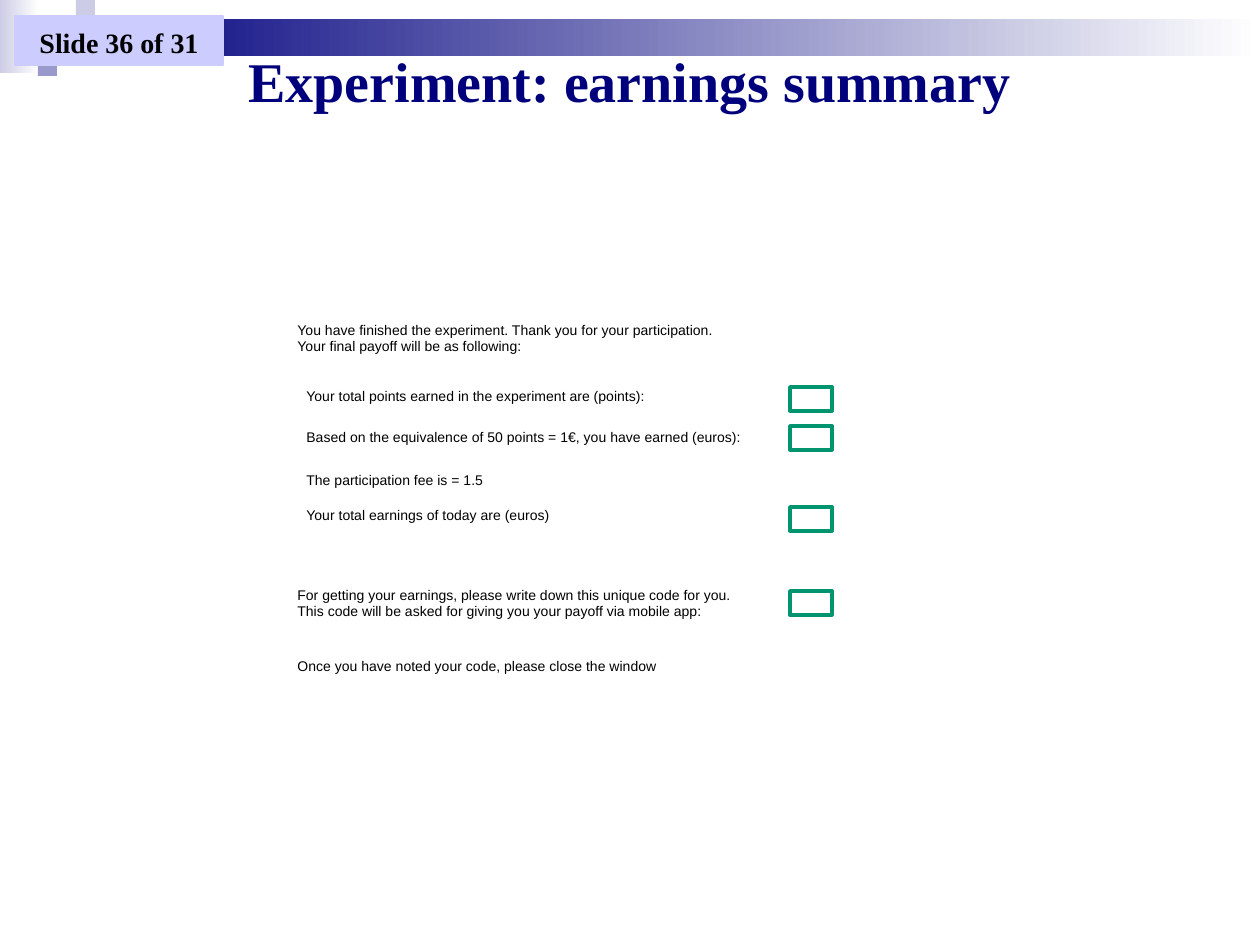
from dataclasses import dataclass

from pptx import Presentation
from pptx.dml.color import RGBColor
from pptx.enum.shapes import MSO_SHAPE
from pptx.enum.text import MSO_ANCHOR, MSO_AUTO_SIZE, PP_ALIGN
from pptx.util import Emu, Pt

RECTANGLE = MSO_SHAPE.RECTANGLE
CENTER, LEFT = PP_ALIGN.CENTER, PP_ALIGN.LEFT
TOP, MIDDLE, BOTTOM = MSO_ANCHOR.TOP, MSO_ANCHOR.MIDDLE, MSO_ANCHOR.BOTTOM
TITLE_ONLY = 5
PX = 914400 // 126


@dataclass(frozen=True)
class Theme:
    navy: str = "00007D"
    lavender: str = "CCCCE6"
    violet: str = "9999CC"
    panel: str = "CCCCFF"
    green: str = "00946F"
    white: str = "FFFFFF"
    black: str = "000000"
    heading_font: str = "Times New Roman"
    body_font: str = "Arial"
    title_size: int = 32
    counter_size: int = 16
    body_size: int = 8


THEME = Theme()

TITLE = "Experiment: earnings summary"
COUNTER = "Slide 36 of 31"

# left, top, width, height, fill (a pair is a gradient from left to right)
DECORATION = [
    (0, 0, 39, 73, (THEME.lavender, THEME.white)),
    (57, 19, 1203, 37, (THEME.navy, THEME.white)),
    (76, 0, 19, 19, THEME.lavender),
    (38, 57, 19, 19, THEME.violet),
]

# top, height, indent, paragraphs
MESSAGES = [
    (315, 47, 0, ["You have finished the experiment. Thank you for your participation.",
                  "Your final payoff will be as following:"]),
    (381, 30, 9, ["Your total points earned in the experiment are (points):"]),
    (422, 30, 9, ["Based on the equivalence of 50 points = 1€, you have earned (euros):"]),
    (465, 30, 9, ["The participation fee is = 1.5"]),
    (500, 30, 9, ["Your total earnings of today are (euros)"]),
    (580, 47, 0, ["For getting your earnings, please write down this unique code for you. \n"
                  "This code will be asked for giving you your payoff via mobile app:"]),
    (651, 30, 0, ["Once you have noted your code, please close the window"]),
]
MESSAGE_LEFT, MESSAGE_WIDTH = 285, 525

ANSWER_TOPS = [387, 426, 507, 591]
ANSWER_LEFT, ANSWER_WIDTH, ANSWER_HEIGHT = 790, 42, 24


def px(*lengths):
    return [Emu(length * PX) for length in lengths]


def rgb(value):
    return RGBColor.from_string(value)


def add_box(slide, bounds, fill, line=None, line_width=1):
    box = slide.shapes.add_shape(RECTANGLE, *px(*bounds))
    box.shadow.inherit = False
    if isinstance(fill, tuple):
        box.fill.gradient()
        box.fill.gradient_angle = 0
        for stop, color in zip(box.fill.gradient_stops, fill):
            stop.color.rgb = rgb(color)
    else:
        box.fill.solid()
        box.fill.fore_color.rgb = rgb(fill)
    if line:
        box.line.color.rgb = rgb(line)
        box.line.width = Pt(line_width)
    else:
        box.line.fill.background()
    return box


def write(shape, paragraphs, *, size, font, color=THEME.black, bold=False,
          align=LEFT, anchor=TOP, indent=0):
    frame = shape.text_frame
    frame.word_wrap = True
    frame.auto_size = MSO_AUTO_SIZE.NONE
    frame.vertical_anchor = anchor
    for index, text in enumerate(paragraphs):
        paragraph = frame.add_paragraph() if index else frame.paragraphs[0]
        paragraph.text = text
        paragraph.alignment = align
        if indent:
            paragraph._p.get_or_add_pPr().set("marL", str(indent * PX))
        for run in paragraph.runs:
            run.font.name = font
            run.font.size = Pt(size)
            run.font.bold = bold
            run.font.color.rgb = rgb(color)


def main():
    deck = Presentation()
    deck.slide_width, deck.slide_height = px(1260, 945)
    slide = deck.slides.add_slide(deck.slide_layouts[TITLE_ONLY])

    for *bounds, fill in DECORATION:
        add_box(slide, bounds, fill)

    counter = add_box(slide, (15, 16, 208, 49), THEME.panel, THEME.panel, 0.75)
    write(counter, [COUNTER], size=THEME.counter_size, font=THEME.heading_font,
          bold=True, align=CENTER, anchor=BOTTOM)

    title = slide.shapes.title
    title.left, title.top, title.width, title.height = px(63, 47, 1134, 67)
    write(title, [TITLE], size=THEME.title_size, font=THEME.heading_font,
          color=THEME.navy, bold=True, align=CENTER, anchor=MIDDLE)

    for top, height, indent, paragraphs in MESSAGES:
        message = slide.shapes.add_textbox(*px(MESSAGE_LEFT, top, MESSAGE_WIDTH, height))
        write(message, paragraphs, size=THEME.body_size, font=THEME.body_font,
              indent=indent)

    for top in ANSWER_TOPS:
        add_box(slide, (ANSWER_LEFT, top, ANSWER_WIDTH, ANSWER_HEIGHT),
                THEME.white, THEME.green, 2)

    deck.save("out.pptx")


if __name__ == "__main__":
    main()
